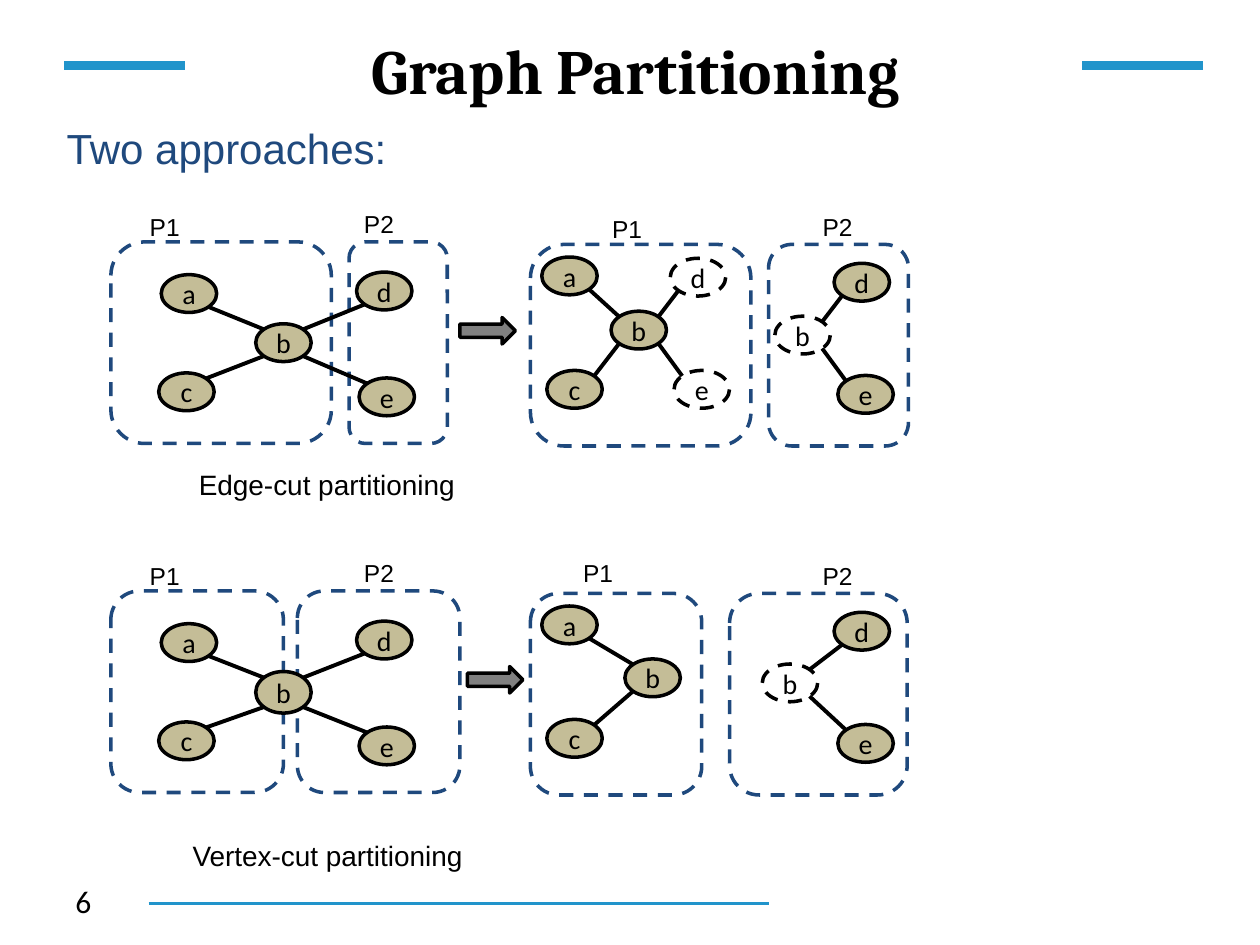
"""Build the Graph Partitioning slide on a grid of 100 columns by 75 rows."""
from lxml import etree
from pptx import Presentation
from pptx import util as u
from pptx.dml.color import RGBColor
from pptx.enum import dml, shapes, text
from pptx.oxml.ns import qn

COLS, ROWS = 100, 75
CELL = u.Inches(10) / COLS
BLACK, NAVY, BLUE, TAN, GRAY = "000000", "1F497D", "2194CB", "C4BD97", "808080"
NODE_W, NODE_H = 4.4, 3.0
BOX_H = 16
ROW_STEP = 27.7

RULES = [
    (5.1, 5.2, 14.7, 5),
    (85.9, 5.2, 95.5, 5),
    (11.8, 71.7, 61, 1.5),
]
TEXTS = [
    ("Graph Partitioning", (15.4, 1.3, 70.1, 8.4),
     dict(size=36, font="Cambria", bold=True, align="CENTER", anchor="MIDDLE", wrap=True)),
    ("6", (5, 69.5, 23.3, 4), dict(size=18, font="Calibri", wrap=True)),
    ("Two approaches:", (4.3, 9.2, 27.7, 5), dict(size=24, color=NAVY)),
    ("Edge-cut partitioning", (14.8, 36.6, 22.6, 3.7), dict(size=16)),
    ("Vertex-cut partitioning", (14.3, 66.1, 23.7, 3.7), dict(size=16)),
]

BEFORE = [("a", 12.8, 21.8), ("c", 12.6, 29.6), ("d", 28.3, 21.6), ("e", 28.5, 30)]
AFTER_P1 = [("a", 43, 20.4), ("c", 43.4, 29.4)]
AFTER_P2 = [("d", 66.2, 20.9), ("e", 66.5, 29.8)]
GHOSTS = [("d", 53.2, 20.5), ("e", 53.5, 29.4)]

APPROACHES = [
    dict(
        boxes=[(8.8, 19.2, 17.5), (27.7, 19.2, 7.8), (42.1, 19.4, 17.5), (61, 19.4, 11.1)],
        labels=[("P1", 10.9, 16.3), ("P2", 27.9, 16.1), ("P1", 47.6, 16.5), ("P2", 64.3, 16.3)],
        arrow=(36.5, 25.2),
        stars=[
            dict(hub=(20.3, 25.7), leaves=BEFORE),
            dict(hub=(48.5, 24.7), leaves=AFTER_P1, ghosts=GHOSTS),
            dict(hub=(61.5, 25.1), leaves=AFTER_P2, ghost_hub=True),
        ],
    ),
    dict(
        boxes=[(8.8, 19.2, 13.7), (23.6, 19.2, 12.9), (42.1, 19.4, 13.6), (57.9, 19.4, 14.1)],
        labels=[("P1", 10.9, 16.3), ("P2", 27.9, 16.1), ("P1", 45.3, 16.1), ("P2", 64.3, 16.3)],
        arrow=(37.1, 25.2),
        stars=[
            dict(hub=(20.3, 25.6), leaves=BEFORE, hub_h=3.3),
            dict(hub=(49.6, 24.6), leaves=AFTER_P1),
            dict(hub=(60.5, 25), leaves=AFTER_P2, ghost_hub=True),
        ],
    ),
]


def grid(*cells):
    """Convert grid cells to slide units."""
    return [u.Emu(round(c * CELL)) for c in cells]


def rgb(code):
    """Turn a hex string into a colour."""
    return RGBColor.from_string(code)


def write(tf, words, size=14, font="Arial", color=BLACK, bold=False,
          align="LEFT", anchor="TOP", wrap=False):
    """Put one formatted paragraph into a text frame."""
    tf.word_wrap = wrap
    tf.vertical_anchor = getattr(text.MSO_ANCHOR, anchor)
    p = tf.paragraphs[0]
    p.alignment = getattr(text.PP_ALIGN, align)
    r = p.add_run()
    r.text = words
    r.font.size, r.font.name, r.font.bold = u.Pt(size), font, bold
    r.font.color.rgb = rgb(color)


def add_text(s, words, at, **fmt):
    """Add a text box."""
    write(s.shapes.add_textbox(*grid(*at)).text_frame, words, **fmt)


def add_shape(s, kind, at, fill=None, line=BLACK, dashed=False):
    """Add an outlined preset shape."""
    sp = s.shapes.add_shape(getattr(shapes.MSO_SHAPE, kind), *grid(*at))
    sp.shadow.inherit = False
    if fill:
        sp.fill.solid()
        sp.fill.fore_color.rgb = rgb(fill)
    else:
        sp.fill.background()
    sp.line.color.rgb = rgb(line)
    sp.line.width = u.Pt(2)
    if dashed:
        sp.line.dash_style = dml.MSO_LINE.DASH
    return sp


def add_line(s, start, end, color=BLACK, width=2.25):
    """Add a straight line without a shadow."""
    cx = s.shapes.add_connector(shapes.MSO_CONNECTOR.STRAIGHT, *grid(*start, *end))
    cx.line.color.rgb = rgb(color)
    cx.line.width = u.Pt(width)
    etree.SubElement(cx._element.spPr, qn("a:effectLst"))


def add_node(s, name, x, y, ghost=False, height=NODE_H):
    """Add a graph node and return its bounds."""
    at = (x, y, NODE_W, height)
    sp = add_shape(s, "OVAL", at, None if ghost else TAN, dashed=ghost)
    tf = sp.text_frame
    tf.margin_left = tf.margin_right = tf.margin_top = tf.margin_bottom = 0
    write(tf, name, size=16, font="Calibri", align="CENTER", anchor="MIDDLE")
    return at


def rim(node, other):
    """Return the diagonal point of a node's rim that faces another node."""
    x, y, w, h = node
    reach = 0.5 ** 0.5 / 2
    side = 1 if other[0] > x else -1
    level = 1 if other[1] > y else -1
    return x + w * (0.5 + side * reach), y + h * (0.5 + level * reach)


def add_star(s, dy, hub, leaves, ghosts=(), ghost_hub=False, hub_h=NODE_H):
    """Add a hub node b joined to its leaves."""
    center = add_node(s, "b", hub[0], hub[1] + dy, ghost_hub, hub_h)
    for group, ghost in ((leaves, False), (ghosts, True)):
        for name, x, y in group:
            leaf = add_node(s, name, x, y + dy, ghost)
            add_line(s, rim(leaf, center), rim(center, leaf))


def main():
    """Build and save the slide."""
    prs = Presentation()
    prs.slide_width, prs.slide_height = grid(COLS, ROWS)
    s = prs.slides.add_slide(prs.slide_layouts[6])
    for x1, y, x2, width in RULES:
        add_line(s, (x1, y), (x2, y), BLUE, width)
    for words, at, fmt in TEXTS:
        add_text(s, words, at, **fmt)
    for i, approach in enumerate(APPROACHES):
        dy = i * ROW_STEP
        for x, y, w in approach["boxes"]:
            add_shape(s, "ROUNDED_RECTANGLE", (x, y + dy, w, BOX_H), line=NAVY, dashed=True)
        x, y = approach["arrow"]
        add_shape(s, "RIGHT_ARROW", (x, y + dy, 4.4, 2.1), GRAY)
        for star in approach["stars"]:
            add_star(s, dy, **star)
        for words, x, y in approach["labels"]:
            add_text(s, words, (x, y + dy, 4.4, 3.4))
    prs.save("out.pptx")


if __name__ == "__main__":
    main()
